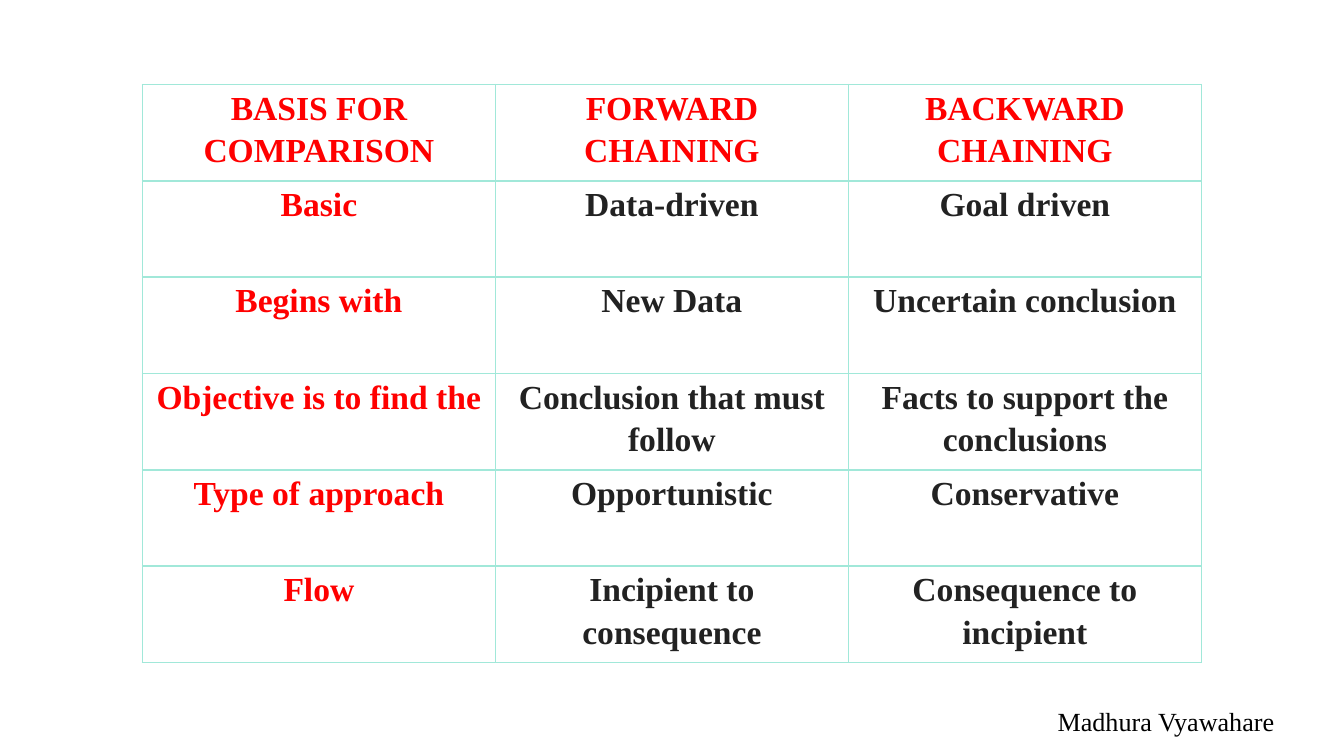
"""Build a slide comparing forward and backward chaining in a table."""
from lxml.etree import SubElement
from pptx import Presentation
from pptx.dml.color import RGBColor
from pptx.enum.text import MSO_AUTO_SIZE, PP_ALIGN
from pptx.oxml.ns import qn
from pptx.util import Inches, Pt

ROWS = [
    ("BASIS FOR COMPARISON", "FORWARD CHAINING", "BACKWARD CHAINING"),
    ("Basic", "Data-driven", "Goal driven"),
    ("Begins with", "New Data", "Uncertain conclusion"),
    ("Objective is to find the", "Conclusion that must follow",
     "Facts to support the conclusions"),
    ("Type of approach", "Opportunistic", "Conservative"),
    ("Flow", "Incipient to consequence", "Consequence to incipient"),
]
AUTHOR = "Madhura Vyawahare"
COLORS = {"heading": "FF0000", "body": "222222", "author": "000000",
          "border": "A1E8D9"}
FONT = "Times New Roman"
SLIDE_WIDTH = 10
SLIDE_HEIGHT = SLIDE_WIDTH * 9 / 16
TABLE_WIDTH, TABLE_HEIGHT, TABLE_TOP = 7.88, 4.3, 0.63


def add_span(para, text, size, color, bold=False):
    """Add one formatted run to a paragraph."""
    span = para.add_run()
    span.text = text
    span.font.name = FONT
    span.font.size = Pt(size)
    span.font.bold = bold
    span.font.color.rgb = RGBColor.from_string(COLORS[color])


def add_borders(cell):
    """Draw a thin line on every side of a cell."""
    properties = cell._tc.get_or_add_tcPr()
    for index, side in enumerate(("lnL", "lnR", "lnT", "lnB")):
        line = properties.makeelement(qn(f"a:{side}"), {"w": str(Pt(1))})
        properties.insert(index, line)
        fill = SubElement(line, qn("a:solidFill"))
        SubElement(fill, qn("a:srgbClr"), val=COLORS["border"])


def fill_cell(cell, text, color):
    """Format a table cell and write its text."""
    cell.fill.background()
    cell.margin_left = cell.margin_right = Inches(0.06)
    cell.margin_top = cell.margin_bottom = 0
    add_borders(cell)
    para = cell.text_frame.paragraphs[0]
    para.alignment = PP_ALIGN.CENTER
    para.line_spacing = 1.15
    add_span(para, text, 18, color, bold=True)


def add_comparison(page):
    """Add the comparison table, centred across the slide."""
    table = page.shapes.add_table(
        len(ROWS), len(ROWS[0]), Inches((SLIDE_WIDTH - TABLE_WIDTH) / 2),
        Inches(TABLE_TOP), Inches(TABLE_WIDTH), Inches(TABLE_HEIGHT)).table
    table.horz_banding = False
    for row_index, row in enumerate(ROWS):
        for column_index, text in enumerate(row):
            is_heading = row_index == 0 or column_index == 0
            fill_cell(table.cell(row_index, column_index), text,
                      "heading" if is_heading else "body")


def add_author(page):
    """Add the author's name at the lower right."""
    box = page.shapes.add_textbox(
        Inches(7.77), Inches(5.15), Inches(1.85), Inches(0.44))
    frame = box.text_frame
    frame.word_wrap = True
    frame.auto_size = MSO_AUTO_SIZE.SHAPE_TO_FIT_TEXT
    frame.margin_left = frame.margin_right = Inches(0.1)
    frame.margin_top = frame.margin_bottom = Inches(0.1)
    add_span(frame.paragraphs[0], AUTHOR, 14, "author")


def main():
    """Create and save the deck."""
    deck = Presentation()
    deck.slide_width = Inches(SLIDE_WIDTH)
    deck.slide_height = Inches(SLIDE_HEIGHT)
    page = deck.slides.add_slide(deck.slide_layouts[6])
    add_author(page)
    add_comparison(page)
    deck.save("out.pptx")


if __name__ == "__main__":
    main()
